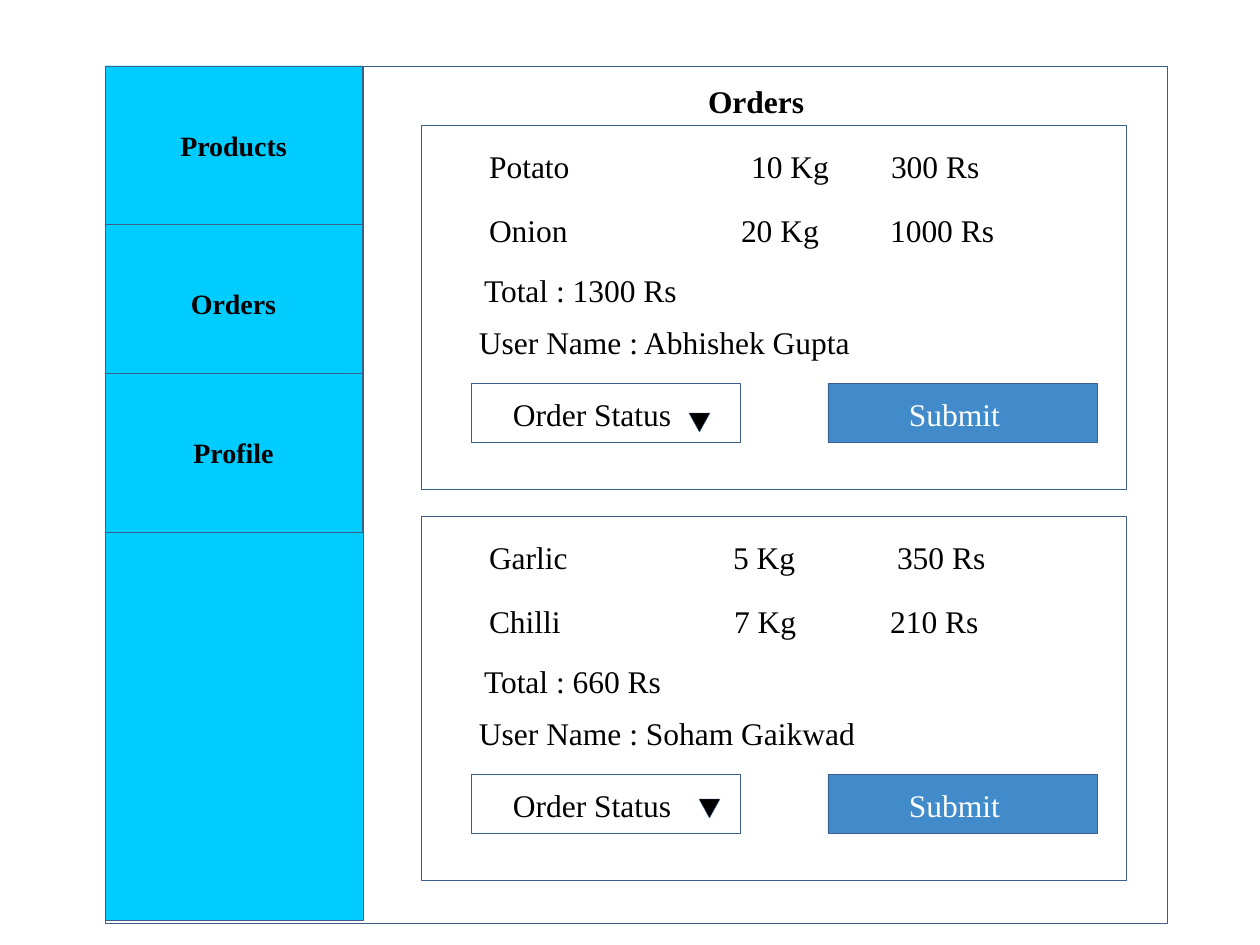
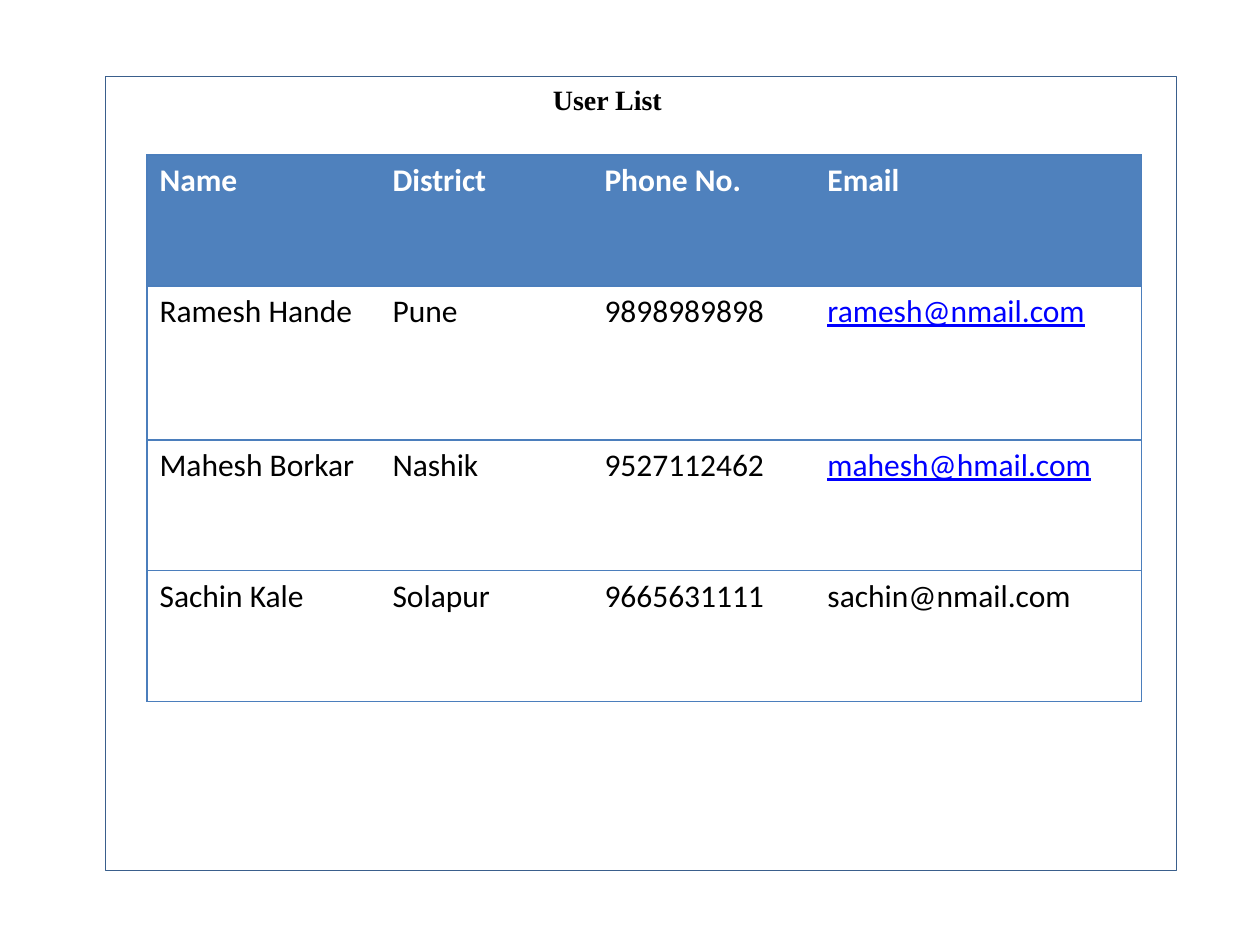
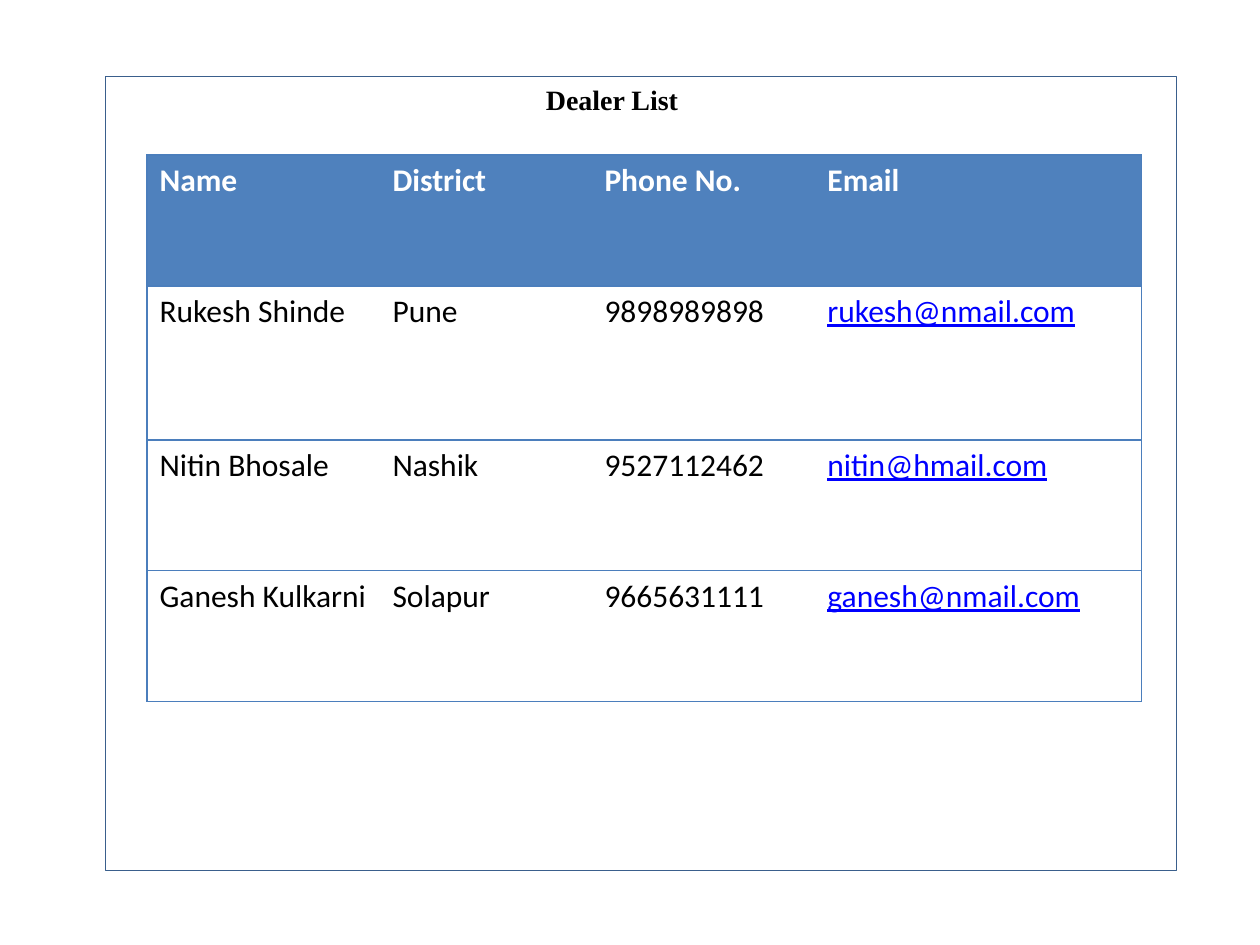
from lxml import etree
from pptx import Presentation, util as u
from pptx.dml.color import RGBColor
from pptx.enum import shapes, text
from pptx.oxml import ns

SCALE = 914400 / 126
SERIF, SANS = "Times New Roman", "Calibri"
BLACK, WHITE, EDGE = "000000", "FFFFFF", "3A5F8C"
CYAN, BUTTON = "00CCFF", "428BCA"
HEADER, RULE, LINK = "4F81BD", "4B7EBC", "0000FF"

# Sidebar entries with their tops
MENU = [("Products", 66), ("Orders", 224), ("Profile", 373)]

# Each item: name, quantity, price and the two tab positions of the latter
ORDERS = [
    {"items": [("Potato", "10 Kg", "300 Rs", (262, 402)),
               ("Onion", "20 Kg", "1000 Rs", (252, 401))],
     "total": "1300 Rs", "user": "Abhishek Gupta", "arrow": (689, 288)},
    {"items": [("Garlic", "5 Kg", "350 Rs", (244, 408)),
               ("Chilli", "7 Kg", "210 Rs", (245, 401))],
     "total": "660 Rs", "user": "Soham Gaikwad", "arrow": (699, 283)},
]
CARD_TOP, CARD_PITCH = 125, 391
ITEM_TOP, ITEM_PITCH = 16, 64

COLUMNS = [("Name", 233), ("District", 212), ("Phone No.", 223), ("Email", 327)]
ROW_HEIGHTS = [131, 154, 131, 131]
CONTACTS = [("Pune", "9898989898"), ("Nashik", "9527112462"), ("Solapur", "9665631111")]

# Title, its indent, then name, address and whether the address is underlined
LISTS = [
    ("User List", 131, [("Ramesh Hande", "ramesh@nmail.com", True),
                        ("Mahesh Borkar", "mahesh@hmail.com", True),
                        ("Sachin Kale", "sachin@nmail.com", False)]),
    ("Dealer List", 124, [("Rukesh Shinde", "rukesh@nmail.com", True),
                          ("Nitin Bhosale", "nitin@hmail.com", True),
                          ("Ganesh Kulkarni", "ganesh@nmail.com", True)]),
]


def px(length):
    return u.Emu(round(length * SCALE))


def rgb(color):
    return RGBColor.from_string(color)


def set_font(para, size, color=BLACK, bold=False, name=SERIF):
    para.font.name, para.font.size, para.font.bold = name, u.Pt(size), bold
    para.font.color.rgb = rgb(color)


def add_box(page, at, fill=None, kind=shapes.MSO_SHAPE.RECTANGLE):
    box = page.shapes.add_shape(kind, *map(px, at))
    box.shadow.inherit = False
    if fill:
        box.fill.solid()
        box.fill.fore_color.rgb = rgb(fill)
    else:
        box.fill.background()
    box.line.color.rgb = rgb(EDGE)
    box.line.width = u.Pt(0.25)
    return box


def add_label(page, words, at, indent, size=18, color=BLACK, bold=False, tabs=()):
    """Put one line of text in a box, starting indent px from its left side."""
    frame = page.shapes.add_textbox(*map(px, at)).text_frame
    frame.word_wrap = True
    frame.margin_left, frame.margin_right = px(indent), 0
    para = frame.paragraphs[0]
    para.text = words
    set_font(para, size, color, bold)
    if tabs:
        properties = para._p.get_or_add_pPr()
        tab_list = etree.Element(ns.qn("a:tabLst"))
        for position in tabs:
            etree.SubElement(tab_list, ns.qn("a:tab"), pos=str(px(position)), algn="l")
        properties.insert(0, tab_list)


def add_menu(page):
    add_box(page, (105, 66, 258, 854), CYAN)
    for words, top in MENU:
        entry = add_box(page, (105, top, 257, 159), CYAN)
        entry.text_frame.vertical_anchor = text.MSO_ANCHOR.MIDDLE
        para = entry.text_frame.paragraphs[0]
        para.text = words
        para.alignment = text.PP_ALIGN.CENTER
        set_font(para, 16, bold=True)


def add_card(page, order, top):
    add_box(page, (421, top, 705, 364), WHITE)
    for index, (name, quantity, price, tabs) in enumerate(order["items"]):
        item_top = top + ITEM_TOP + index * ITEM_PITCH
        add_label(page, f"{name}\t{quantity}\t{price}", (422, item_top, 625, 50), 67, tabs=tabs)
    add_label(page, f"Total : {order['total']}", (432, top + 140, 625, 50), 52)
    add_label(page, f"User Name : {order['user']}", (427, top + 192, 585, 50), 52)
    add_box(page, (828, top + 258, 269, 59), BUTTON)
    add_label(page, "Submit", (896, top + 264, 125, 50), 13, color=WHITE)
    add_box(page, (471, top + 258, 269, 59), WHITE)
    add_label(page, "Order Status", (461, top + 264, 287, 50), 52)
    left, drop = order["arrow"]
    add_box(page, (left, top + drop, 21, 19), BLACK, shapes.MSO_SHAPE.FLOWCHART_MERGE)


def set_borders(cell, drawn):
    properties = cell._tc.get_or_add_tcPr()
    for index, side in enumerate("LRTB"):
        line = etree.Element(ns.qn(f"a:ln{side}"), w=str(u.Pt(0.75)))
        if side in drawn:
            fill = etree.SubElement(line, ns.qn("a:solidFill"))
            etree.SubElement(fill, ns.qn("a:srgbClr"), val=RULE)
        else:
            etree.SubElement(line, ns.qn("a:noFill"))
        properties.insert(index, line)


def add_people_table(page, people):
    rows = [[heading for heading, _ in COLUMNS]]
    rows += [[name, *contact, address]
             for (name, address, _), contact in zip(people, CONTACTS)]
    widths = [width for _, width in COLUMNS]
    table = page.shapes.add_table(len(rows), len(widths), px(147), px(155),
                                  px(sum(widths)), px(sum(ROW_HEIGHTS))).table
    table.first_row = table.horz_banding = False
    for column, width in zip(table.columns, widths):
        column.width = px(width)
    last = len(widths) - 1
    for row, values in enumerate(rows):
        table.rows[row].height = px(ROW_HEIGHTS[row])
        for column, value in enumerate(values):
            cell = table.cell(row, column)
            para = cell.text_frame.paragraphs[0]
            para.text = value
            linked = row > 0 and column == last and people[row - 1][2]
            if row == 0:
                cell.fill.solid()
                cell.fill.fore_color.rgb = rgb(HEADER)
                set_font(para, 18, WHITE, True, SANS)
            else:
                cell.fill.background()
                set_font(para, 18, LINK if linked else BLACK, name=SANS)
            if linked:
                para.font.underline = True
            set_borders(cell, "TB" + "L" * (column == 0) + "R" * (column == last))


def main():
    deck = Presentation()
    deck.slide_width, deck.slide_height = px(1260), px(945)
    blank = deck.slide_layouts[6]

    page = deck.slides.add_slide(blank)
    add_box(page, (105, 66, 1062, 857))
    add_menu(page)
    add_label(page, "Orders", (640, 76, 180, 50), 68, bold=True)
    for index, order in enumerate(ORDERS):
        add_card(page, order, CARD_TOP + index * CARD_PITCH)

    for title, indent, people in LISTS:
        page = deck.slides.add_slide(blank)
        add_box(page, (105, 76, 1071, 794))
        add_label(page, title, (422, 76, 417, 47), indent, size=16, bold=True)
        add_people_table(page, people)

    deck.save("out.pptx")


if __name__ == "__main__":
    main()
